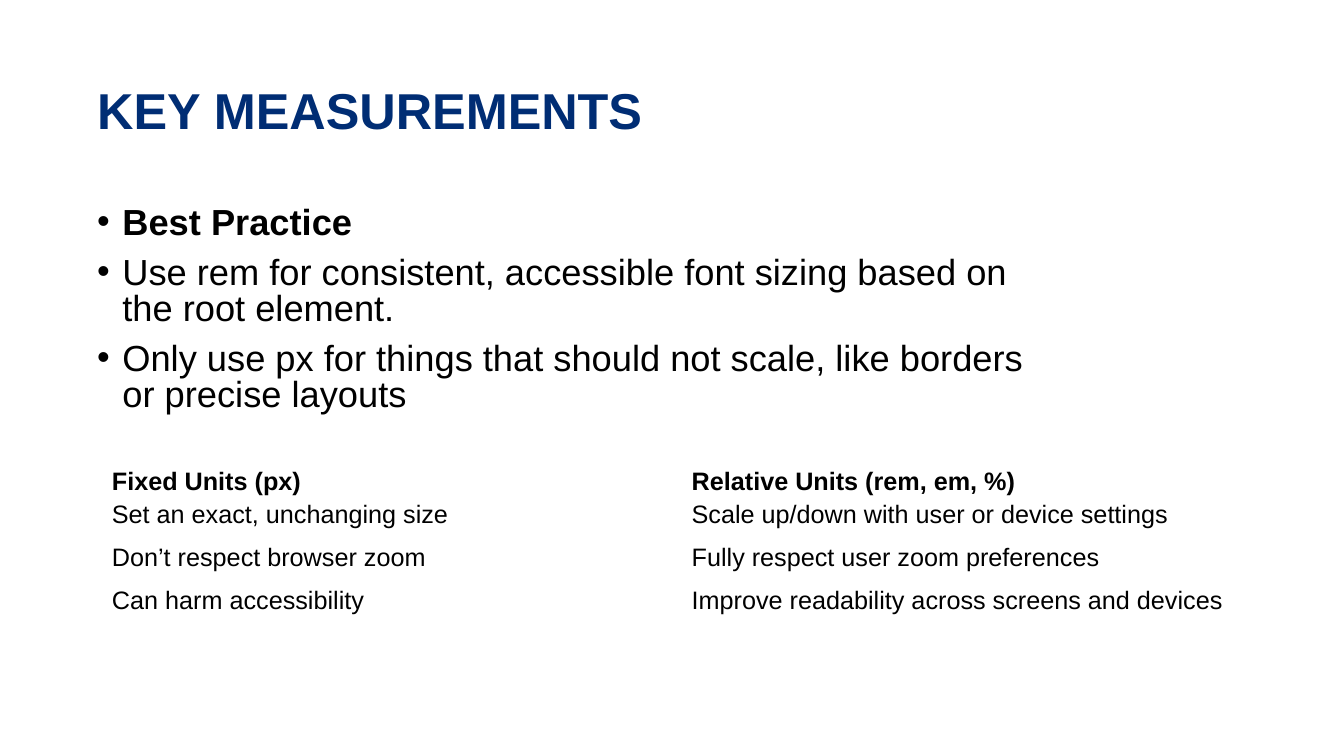
from lxml import etree
from pptx import Presentation
from pptx.dml.color import RGBColor
from pptx.enum.text import MSO_ANCHOR
from pptx.oxml.ns import qn
from pptx.util import Inches, Pt

NAVY = RGBColor(0x00, 0x2D, 0x74)
BLACK = RGBColor(0x00, 0x00, 0x00)


def style(para, size, color, bold):
    for run in para.runs:
        run.font.name = "Arial"
        run.font.size = Pt(size)
        run.font.bold = bold
        run.font.color.rgb = color


deck = Presentation()
deck.slide_width = Inches(26.66)
deck.slide_height = Inches(15)
slide = deck.slides.add_slide(deck.slide_layouts[6])

# Title
title = slide.shapes.add_textbox(Inches(1.83), Inches(0.8), Inches(23), Inches(2.9))
frame = title.text_frame
frame.word_wrap = True
frame.vertical_anchor = MSO_ANCHOR.MIDDLE
frame.text = "KEY MEASUREMENTS"
frame.paragraphs[0].line_spacing = 0.9
style(frame.paragraphs[0], 72, NAVY, True)

# Bulleted advice
advice = [
    "Best Practice",
    "Use rem for consistent, accessible font sizing based on the root element.",
    "Only use px for things that should not scale, like borders or precise layouts",
]
body = slide.shapes.add_textbox(Inches(1.83), Inches(3.99), Inches(19.33), Inches(4.29))
frame = body.text_frame
frame.word_wrap = True
frame.margin_top = Inches(0.1)
frame.text = "\n".join(advice)
for i, para in enumerate(frame.paragraphs):
    para.line_spacing = 0.83
    if i > 0:
        para.space_before = Pt(20)
    props = para._p.get_or_add_pPr()
    props.set("marL", str(Inches(0.5)))
    props.set("indent", str(-Inches(0.5)))
    font = etree.SubElement(props, qn("a:buFont"))
    font.set("typeface", "Arial")
    bullet = etree.SubElement(props, qn("a:buChar"))
    bullet.set("char", "•")
    style(para, 51.8, BLACK, i == 0)

# Comparison of units
units = [
    ("Fixed Units (px)", "Relative Units (rem, em, %)"),
    ("Set an exact, unchanging size", "Scale up/down with user or device settings"),
    ("Don’t respect browser zoom", "Fully respect user zoom preferences"),
    ("Can harm accessibility", "Improve readability across screens and devices"),
]
heights = [0.65, 0.65, 1.04, 0.65]
table = slide.shapes.add_table(
    len(units), 2, Inches(2.12), Inches(9.23), Inches(23), Inches(sum(heights))
).table
table.first_row = False
table.horz_banding = False
for r, (texts, height) in enumerate(zip(units, heights)):
    table.rows[r].height = Inches(height)
    for c, text in enumerate(texts):
        cell = table.cell(r, c)
        cell.fill.background()
        cell.vertical_anchor = MSO_ANCHOR.MIDDLE
        cell.margin_top = cell.margin_bottom = Inches(0.03)
        cell.text_frame.text = text
        style(cell.text_frame.paragraphs[0], 36, BLACK, r == 0)

deck.save("out.pptx")
